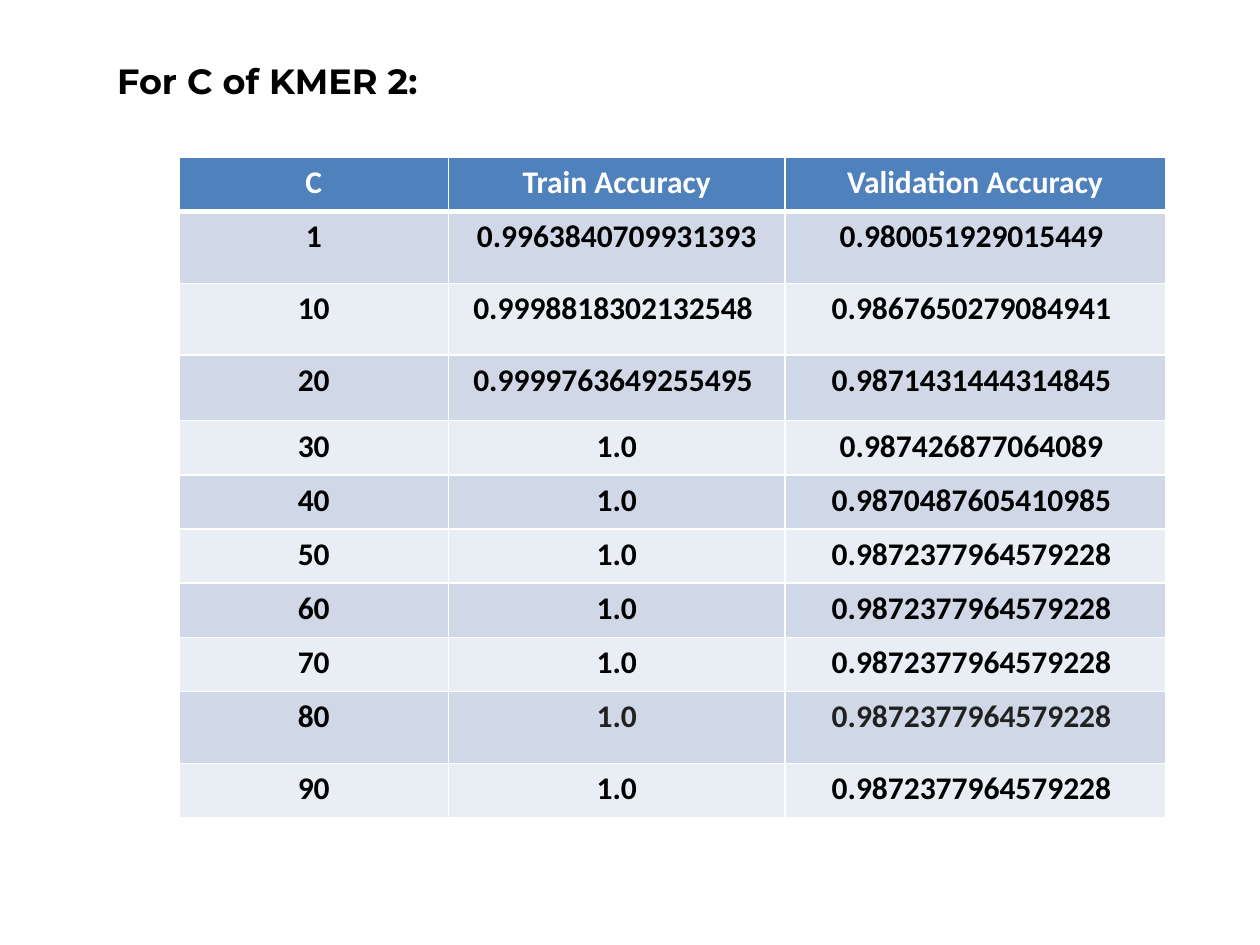
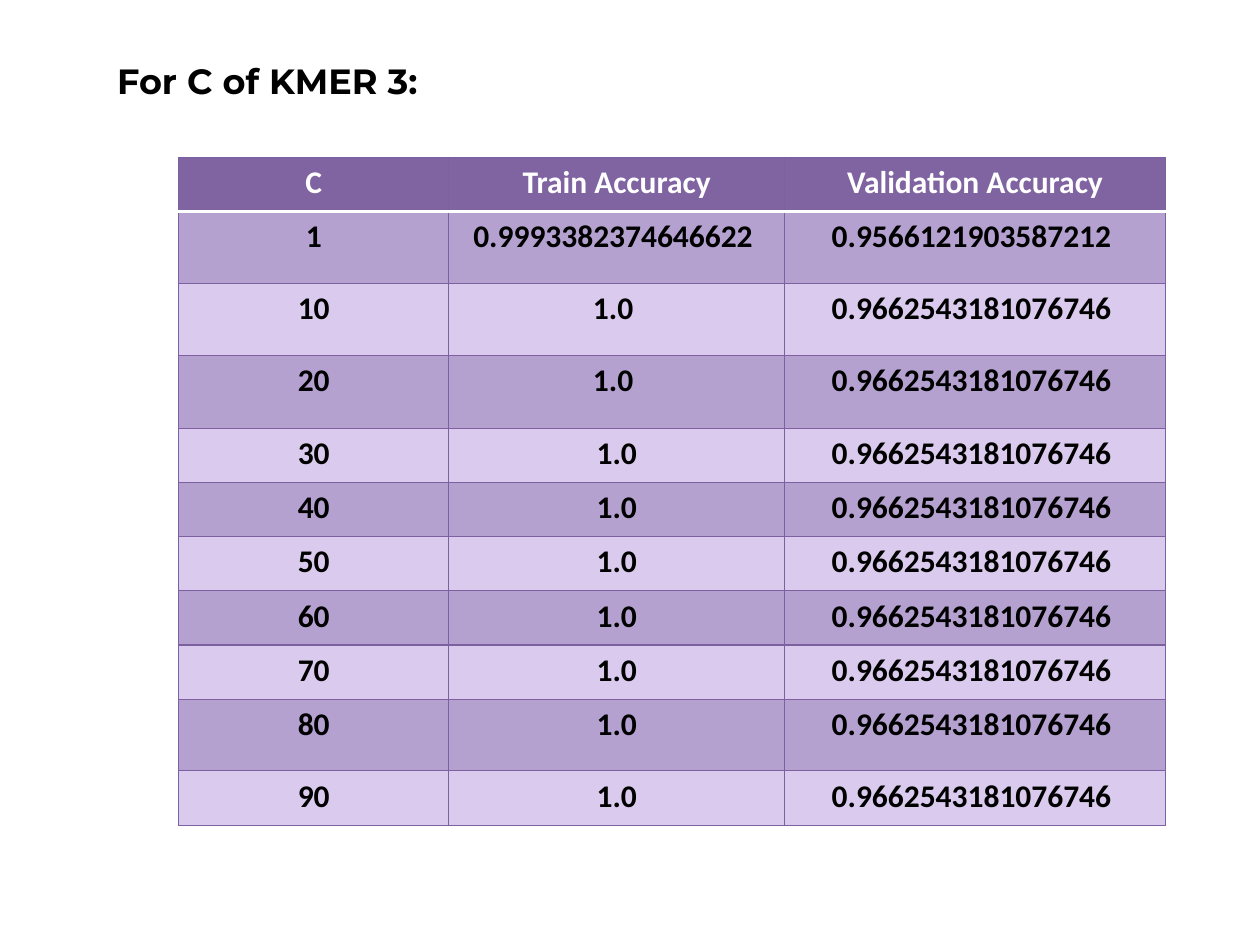
from lxml import etree
from pptx import Presentation
from pptx.dml.color import RGBColor
from pptx.enum.text import MSO_ANCHOR as Anchor, MSO_AUTO_SIZE as AutoSize, PP_ALIGN as Align
from pptx.oxml.ns import qn
from pptx.util import Inches, Pt

BLACK = RGBColor(0x00, 0x00, 0x00)
WHITE = RGBColor(0xFF, 0xFF, 0xFF)
CHARCOAL = RGBColor(0x21, 0x21, 0x21)
BLUE = RGBColor(0x4F, 0x81, 0xBD)
BLUE_BAND = RGBColor(0xD0, 0xD8, 0xE8)
BLUE_PALE = RGBColor(0xE9, 0xED, 0xF4)
PURPLE = RGBColor(0x80, 0x64, 0xA2)
PURPLE_LINE = RGBColor(0x7D, 0x60, 0xA0)
PURPLE_BAND = RGBColor(0xB4, 0xA1, 0xCF)
PURPLE_PALE = RGBColor(0xDA, 0xCA, 0xED)

# Each theme: header fill, odd and even row fills, grid line, line under the header
BLUE_THEME = dict(header=BLUE, bands=(BLUE_BAND, BLUE_PALE),
                  grid=(WHITE, 1), rule=(WHITE, 3))
PURPLE_THEME = dict(header=PURPLE, bands=(PURPLE_BAND, PURPLE_PALE),
                    grid=(PURPLE_LINE, 0.75), rule=(WHITE, 2))

HEADINGS = ("C", "Train Accuracy", "Validation Accuracy")
C_VALUES = (1, *range(10, 100, 10))
COLUMN_WIDTHS = (2.14, 2.67, 3.02)
ROW_HEIGHT, TALL_ROW = 0.43, 0.57


class Deck:
    """Shared style and the slide being filled."""

    title_font, title_size = "Montserrat", 20
    table_font, table_size = "Calibri", 18

    def __init__(self):
        self.prs = Presentation()
        self.prs.slide_width, self.prs.slide_height = Inches(10), Inches(7.5)
        self.slide = None

    def add_slide(self, title):
        self.slide = self.prs.slides.add_slide(self.prs.slide_layouts[5])
        heading = self.slide.shapes.title
        heading.left, heading.top = Inches(0.83), Inches(0.42)
        heading.width, heading.height = Inches(2.83), Inches(0.44)
        frame = heading.text_frame
        frame.word_wrap = True
        frame.auto_size = AutoSize.SHAPE_TO_FIT_TEXT
        frame.vertical_anchor = Anchor.TOP
        self.add_text(frame, title, self.title_font, self.title_size, BLACK, Align.LEFT)

    def add_text(self, frame, text, font, size, color, align):
        paragraph = frame.paragraphs[0]
        paragraph.alignment = align
        run = paragraph.add_run()
        run.text = text
        run.font.name, run.font.size, run.font.bold = font, Pt(size), True
        run.font.color.rgb = color

    def border(self, cell, edge, color, width):
        line = etree.SubElement(cell._tc.get_or_add_tcPr(), qn(f"a:ln{edge}"),
                                w=str(Pt(width)))
        fill = etree.SubElement(line, qn("a:solidFill"))
        etree.SubElement(fill, qn("a:srgbClr"), val=str(color))

    def cell(self, cell, text, fill, color, borders):
        for edge, (line_color, width) in borders.items():
            self.border(cell, edge, line_color, width)
        cell.fill.solid()
        cell.fill.fore_color.rgb = fill
        self.add_text(cell.text_frame, text, self.table_font, self.table_size,
                      color, Align.CENTER)

    def table(self, rows, heights, theme, text_colors):
        """text_colors holds the (row, column) cells that are not black."""
        table = self.slide.shapes.add_table(
            len(rows), len(COLUMN_WIDTHS), Inches(1.42), Inches(1.25),
            Inches(sum(COLUMN_WIDTHS)), Inches(sum(heights))).table
        table.horz_banding = False
        for column, width in zip(table.columns, COLUMN_WIDTHS):
            column.width = Inches(width)
        for r, (values, height) in enumerate(zip(rows, heights)):
            table.rows[r].height = Inches(height)
            fill = theme["bands"][(r - 1) % 2] if r else theme["header"]
            borders = dict.fromkeys("LRTB", theme["grid"])
            if r < 2:  # the two rows that meet at the header rule
                borders["T" if r else "B"] = theme["rule"]
            for c, value in enumerate(values):
                color = text_colors.get((r, c), BLACK) if r else WHITE
                self.cell(table.cell(r, c), value, fill, color, borders)

    def accuracy_slide(self, kmer, train, validation, theme, height_of_20,
                       text_colors=None):
        self.add_slide(f"For C of KMER {kmer}:")
        rows = [HEADINGS, *zip(map(str, C_VALUES), train, validation)]
        special = {1: TALL_ROW, 10: TALL_ROW, 20: height_of_20, 80: TALL_ROW}
        heights = [ROW_HEIGHT] + [special.get(c, ROW_HEIGHT) for c in C_VALUES]
        self.table(rows, heights, theme, text_colors or {})


deck = Deck()

# KMER 2
deck.accuracy_slide(
    2,
    ["0.9963840709931393", "0.9998818302132548 ", "0.9999763649255495 "] + ["1.0"] * 7,
    ["0.980051929015449 ", "0.9867650279084941 ", "0.9871431444314845 ",
     "0.987426877064089 ", "0.9870487605410985 "] + ["0.9872377964579228 "] * 5,
    BLUE_THEME, 0.52, {(9, 1): CHARCOAL, (9, 2): CHARCOAL})

# KMER 3
deck.accuracy_slide(
    3,
    ["0.9993382374646622 ", "1.0 ", "1.0 "] + ["1.0"] * 7,
    ["0.9566121903587212 "] + ["0.9662543181076746 "] * 9,
    PURPLE_THEME, 0.58)

deck.prs.save("out.pptx")
